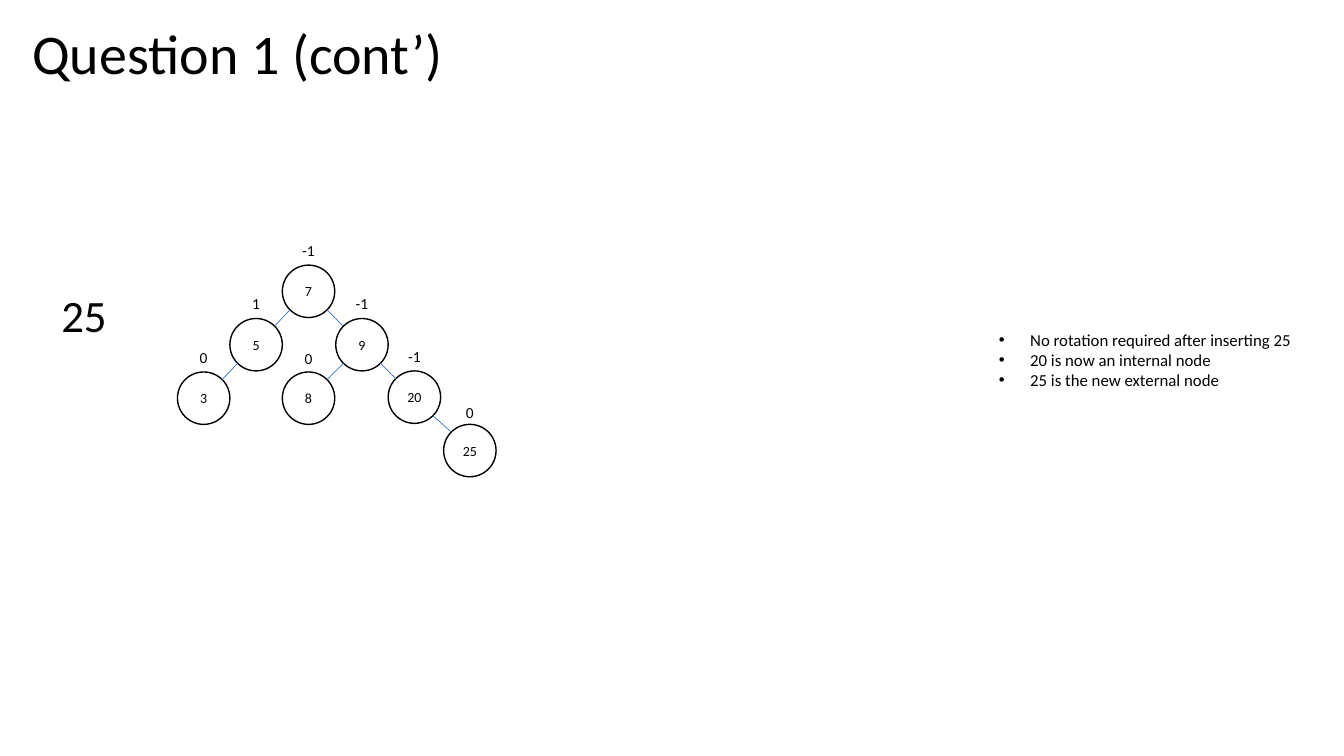
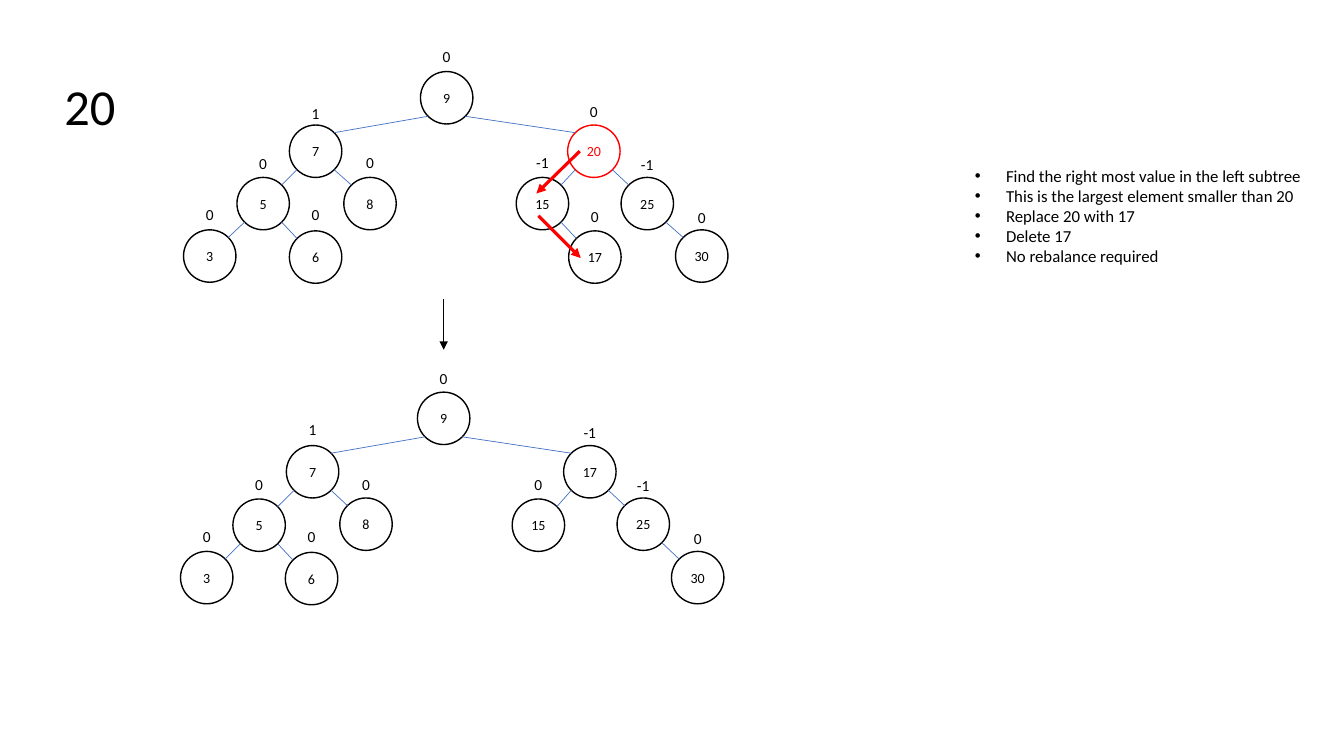
"""Build two slides of AVL tree insertion and deletion."""
from lxml import etree
from pptx import Presentation
from pptx.dml.color import RGBColor
from pptx.enum.shapes import MSO_CONNECTOR, MSO_SHAPE
from pptx.enum.text import MSO_ANCHOR, MSO_AUTO_SIZE, PP_ALIGN
from pptx.oxml.ns import qn
from pptx.util import Inches, Pt

STRAIGHT = MSO_CONNECTOR.STRAIGHT
OVAL = MSO_SHAPE.OVAL
TOP, MIDDLE = MSO_ANCHOR.TOP, MSO_ANCHOR.MIDDLE
LEFT, CENTER = PP_ALIGN.LEFT, PP_ALIGN.CENTER

FONT = "Calibri"
BLACK, RED, BLUE = "000000", "FF0000", "4472C4"
NODE_SIZE = 0.52
NODE_CENTER = NODE_SIZE / 2
EDGE_OFFSET = NODE_CENTER * 0.5 ** 0.5
LABEL_WIDTH, LABEL_HEIGHT = 0.43, 0.29
BULLET_INDENT = Inches(0.31)


def write(shape, text, size=12, color=BLACK, align=LEFT, anchor=TOP, bullet=False, inset=0.1):
    """Fill a shape with one paragraph per line of text."""
    frame = shape.text_frame
    frame.word_wrap = True
    frame.auto_size = MSO_AUTO_SIZE.NONE
    frame.vertical_anchor = anchor
    frame.margin_left = frame.margin_right = Inches(inset)
    frame.margin_top = frame.margin_bottom = Inches(inset / 2)
    for index, line in enumerate(text.split("\n")):
        para = frame.add_paragraph() if index else frame.paragraphs[0]
        para.alignment = align
        if bullet:
            properties = para._p.get_or_add_pPr()
            properties.set("marL", str(BULLET_INDENT))
            properties.set("indent", str(-BULLET_INDENT))
            etree.SubElement(properties, qn("a:buFont"), typeface="Arial")
            etree.SubElement(properties, qn("a:buChar"), char="•")
        span = para.add_run()
        span.text = line
        span.font.name = FONT
        span.font.size = Pt(size)
        span.font.color.rgb = RGBColor.from_string(color)


def draw_line(page, start, end, color=BLUE, width=0.5, arrow=False):
    """Connect two points given in inches."""
    points = [Inches(value) for value in (*start, *end)]
    connector = page.shapes.add_connector(STRAIGHT, *points)
    connector.line.color.rgb = RGBColor.from_string(color)
    connector.line.width = Pt(width)
    properties = connector._element.spPr
    if arrow:
        etree.SubElement(properties.find(qn("a:ln")), qn("a:tailEnd"), type="triangle")
    etree.SubElement(properties, qn("a:effectLst"))


deck = Presentation()
deck.slide_width, deck.slide_height = Inches(13.33), Inches(7.5)
title_only, blank = deck.slide_layouts[5], deck.slide_layouts[6]

insert_page = deck.slides.add_slide(title_only)
title = insert_page.shapes.title
title.left, title.top = Inches(0.22), Inches(0.13)
title.width, title.height = Inches(4.97), Inches(0.77)
write(title, "Question 1 (cont’)", size=40)

delete_page = deck.slides.add_slide(blank)

keys = [
    (insert_page, "25", 0.51, 2.81, 32),
    (delete_page, "20", 0.54, 0.7, 36),
]
for page, key, left, top, size in keys:
    box = page.shapes.add_textbox(Inches(left), Inches(top), Inches(1.7), Inches(0.71))
    write(box, key, size=size)

# node: left, top, balance, label top, parent
insert_tree = {
    "7": (2.8, 2.63, "-1", 2.34, None),
    "5": (2.28, 3.16, "1", 2.87, "7"),
    "9": (3.33, 3.16, "-1", 2.87, "7"),
    "3": (1.76, 3.69, "0", 3.4, "5"),
    "8": (2.8, 3.69, "0", 3.41, "9"),
    "20": (3.85, 3.68, "-1", 3.39, "9"),
    "25": (4.4, 4.21, "0", 3.95, "20"),
}
before_delete = {
    "9": (4.17, 0.71, "0", 0.42, None),
    "7": (2.87, 1.24, "1", 0.98, "9"),
    "20": (5.63, 1.24, "0", 0.96, "9"),
    "5": (2.35, 1.76, "0", 1.48, "7"),
    "8": (3.41, 1.76, "0", 1.47, "7"),
    "15": (5.12, 1.76, "-1", 1.47, "20"),
    "25": (6.16, 1.76, "-1", 1.49, "20"),
    "3": (1.82, 2.28, "0", 1.99, "5"),
    "6": (2.87, 2.29, "0", 1.99, "5"),
    "17": (5.64, 2.29, "0", 2.01, "15"),
    "30": (6.7, 2.28, "0", 2.02, "25"),
}
after_delete = {
    "9": (4.14, 3.89, "0", 3.61, None),
    "7": (2.84, 4.42, "1", 4.12, "9"),
    "17": (5.59, 4.42, "-1", 4.15, "9"),
    "5": (2.31, 4.95, "0", 4.66, "7"),
    "8": (3.37, 4.94, "0", 4.66, "7"),
    "15": (5.08, 4.95, "0", 4.66, "17"),
    "25": (6.12, 4.94, "-1", 4.67, "17"),
    "3": (1.79, 5.47, "0", 5.18, "5"),
    "6": (2.83, 5.48, "0", 5.18, "5"),
    "30": (6.66, 5.47, "0", 5.2, "25"),
}
trees = [
    (insert_page, insert_tree, None),
    (delete_page, before_delete, "20"),
    (delete_page, after_delete, None),
]
for page, tree, deleted in trees:
    for value, (left, top, balance, label_top, parent) in tree.items():
        color = RED if value == deleted else BLACK
        node = page.shapes.add_shape(
            OVAL, Inches(left), Inches(top), Inches(NODE_SIZE), Inches(NODE_SIZE))
        node.shadow.inherit = False
        node.fill.background()
        node.line.color.rgb = RGBColor.from_string(color)
        node.line.width = Pt(1)
        write(node, value, size=10, color=color, align=CENTER, anchor=MIDDLE, inset=0)

        label_left = left + (NODE_SIZE - LABEL_WIDTH) / 2
        label = page.shapes.add_textbox(
            Inches(label_left), Inches(label_top), Inches(LABEL_WIDTH), Inches(LABEL_HEIGHT))
        write(label, balance, size=11, align=CENTER)

        if parent:
            parent_left, parent_top = tree[parent][:2]
            shift = EDGE_OFFSET if left > parent_left else -EDGE_OFFSET
            start = (parent_left + NODE_CENTER + shift, parent_top + NODE_CENTER + EDGE_OFFSET)
            end = (left + NODE_CENTER - shift, top + NODE_CENTER - EDGE_OFFSET)
            draw_line(page, start, end)

draw_line(delete_page, (5.75, 1.5), (5.32, 1.92), color=RED, width=2.25, arrow=True)
draw_line(delete_page, (5.34, 2.14), (5.76, 2.56), color=RED, width=2.25, arrow=True)
draw_line(delete_page, (4.4, 2.97), (4.4, 3.47), color=BLACK, arrow=True)

insert_notes = """No rotation required after inserting 25
20 is now an internal node
25 is the new external node"""
delete_notes = """Find the right most value in the left subtree
This is the largest element smaller than 20
Replace 20 with 17
Delete 17
No rebalance required"""
explanations = [
    (insert_page, insert_notes, 9.81, 3.22, 0.71),
    (delete_page, delete_notes, 9.57, 1.59, 1.11),
]
for page, text, left, top, height in explanations:
    box = page.shapes.add_textbox(Inches(left), Inches(top), Inches(3.5), Inches(height))
    write(box, text, bullet=True)

deck.save("out.pptx")
